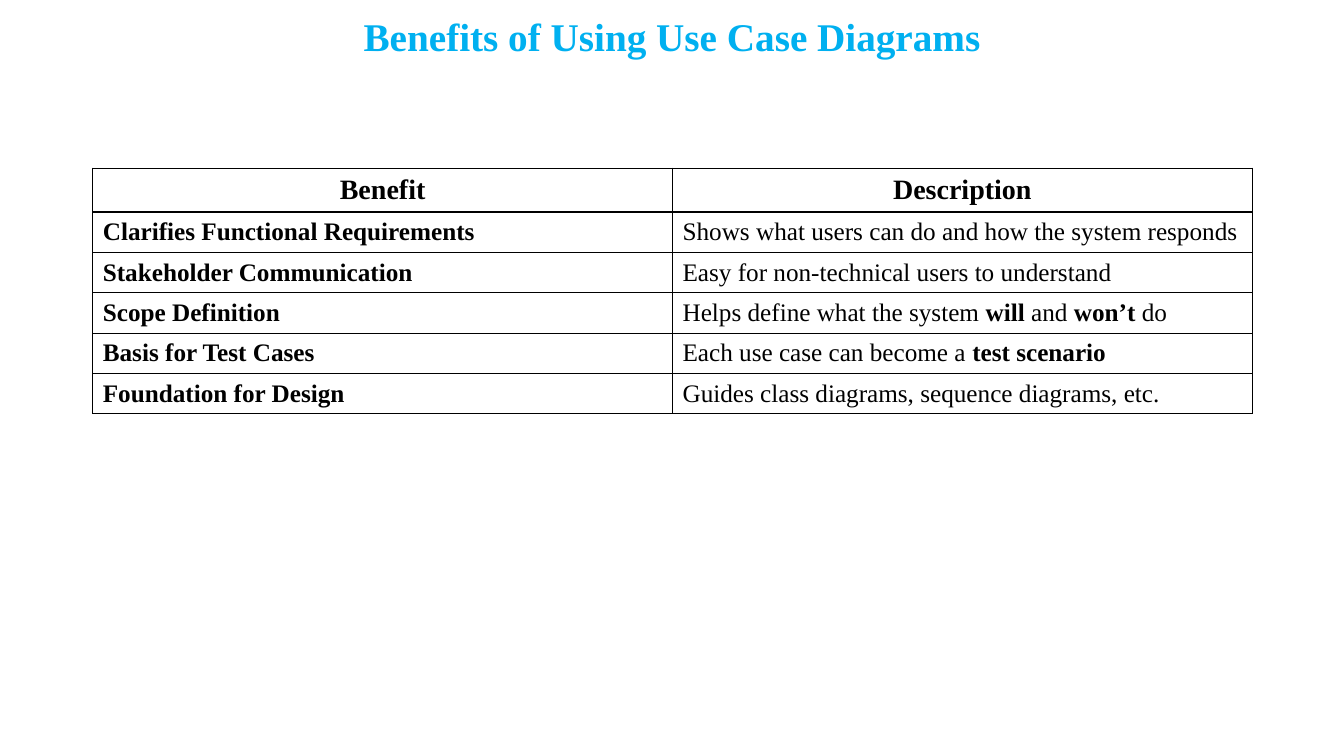
"""Builds a slide with a table of the benefits of use case diagrams."""
from dataclasses import dataclass

import lxml.etree
import pptx
import pptx.dml.color
import pptx.enum.text
import pptx.oxml.ns
import pptx.util

Inches = pptx.util.Inches
Align = pptx.enum.text.PP_ALIGN
Anchor = pptx.enum.text.MSO_ANCHOR

TITLE = "Benefits of Using Use Case Diagrams"
HEADINGS = ("Benefit", "Description")
BENEFITS = [
    ("*Clarifies Functional Requirements*", "Shows what users can do and how the system responds"),
    ("*Stakeholder Communication*", "Easy for non-technical users to understand"),
    ("*Scope Definition*", "Helps define what the system *will* and *won’t* do"),
    ("*Basis for Test Cases*", "Each use case can become a *test scenario*"),
    ("*Foundation for Design*", "Guides class diagrams, sequence diagrams, etc."),
]


@dataclass(frozen=True)
class Theme:
    font: str = "Times New Roman"
    title_color: str = "00B0F0"
    ink: str = "000000"
    title_size: int = 28
    heading_size: int = 20
    body_size: int = 18
    border_width: int = 1


THEME = Theme()


def write(para, text, size, color):
    """Fill a paragraph, setting the parts between asterisks in bold."""
    para.font.name = THEME.font
    para.font.size = pptx.util.Pt(size)
    para.font.color.rgb = pptx.dml.color.RGBColor.from_string(color)
    for index, part in enumerate(text.split("*")):
        if part:
            span = para.add_run()
            span.text = part
            span.font.bold = index % 2 == 1


def add_borders(cell):
    """Draw a solid line on the four sides of a cell."""
    qn = pptx.oxml.ns.qn
    properties = cell._tc.get_or_add_tcPr()
    width = str(pptx.util.Pt(THEME.border_width))
    for position, side in enumerate(("a:lnL", "a:lnR", "a:lnT", "a:lnB")):
        line = lxml.etree.Element(qn(side), w=width)
        fill = lxml.etree.SubElement(line, qn("a:solidFill"))
        lxml.etree.SubElement(fill, qn("a:srgbClr"), val=THEME.ink)
        properties.insert(position, line)


def add_title(page):
    box = page.shapes.add_textbox(0, 0, Inches(13.33), Inches(0.61))
    box.text_frame.word_wrap = True
    para = box.text_frame.paragraphs[0]
    para.alignment = Align.CENTER
    para.line_spacing = 1.15
    write(para, f"*{TITLE}*", THEME.title_size, THEME.title_color)


def add_benefits(page):
    rows = [tuple(f"*{heading}*" for heading in HEADINGS), *BENEFITS]
    heights = [0.43] + [0.4] * len(BENEFITS)
    table = page.shapes.add_table(
        len(rows), len(HEADINGS),
        Inches(0.92), Inches(1.67), Inches(11.5), Inches(sum(heights)),
    ).table
    for row_index, texts in enumerate(rows):
        is_heading = row_index == 0
        table.rows[row_index].height = Inches(heights[row_index])
        for column_index, text in enumerate(texts):
            cell = table.cell(row_index, column_index)
            cell.fill.background()
            cell.vertical_anchor = Anchor.MIDDLE
            add_borders(cell)
            para = cell.text_frame.paragraphs[0]
            para.alignment = Align.CENTER if is_heading else Align.LEFT
            size = THEME.heading_size if is_heading else THEME.body_size
            write(para, text, size, THEME.ink)


def main():
    deck = pptx.Presentation()
    deck.slide_width, deck.slide_height = Inches(13.33), Inches(7.5)
    page = deck.slides.add_slide(deck.slide_layouts[6])
    add_title(page)
    add_benefits(page)
    deck.save("out.pptx")


if __name__ == "__main__":
    main()
